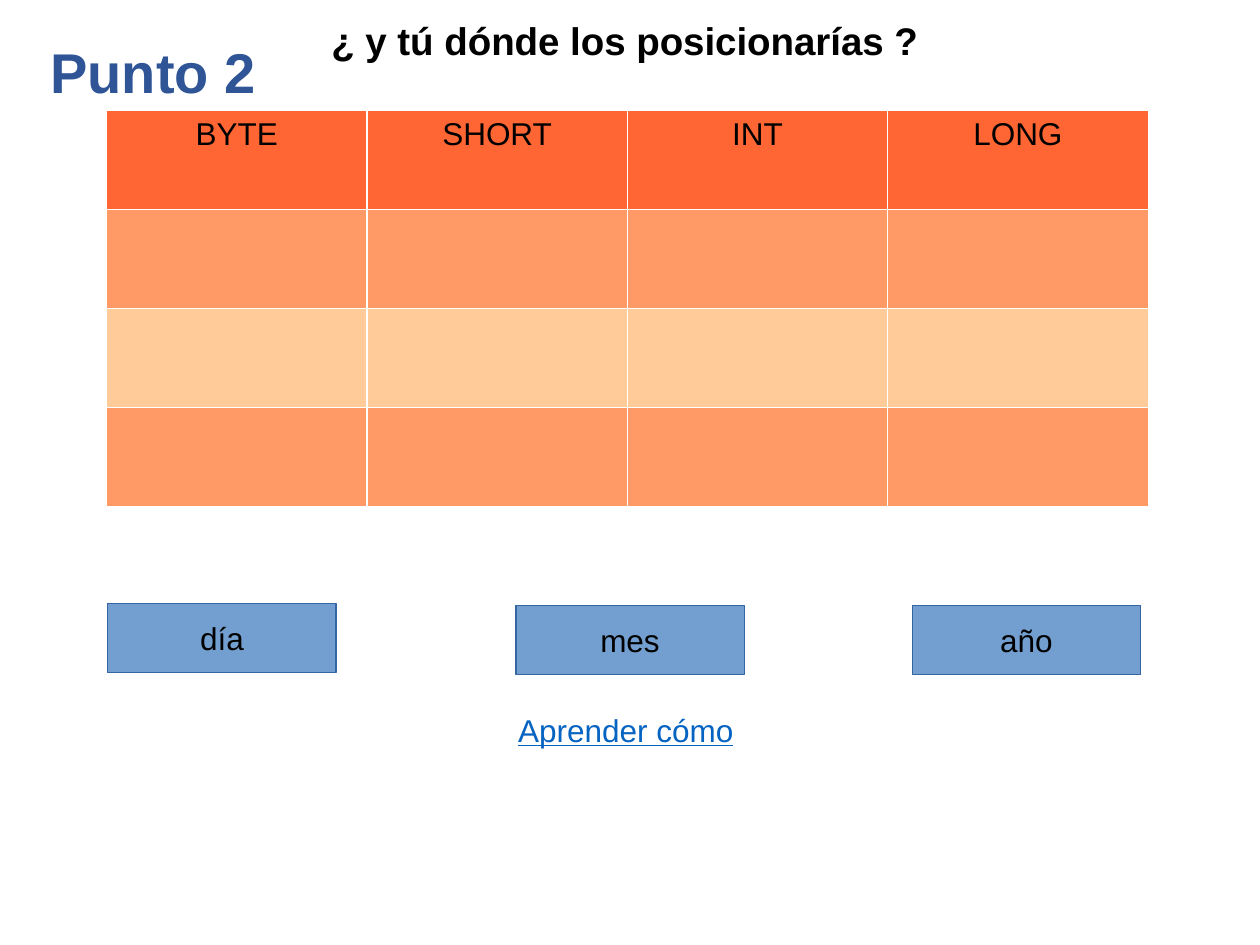
"""Builds the slide asking which integer type suits day, month and year."""
from lxml import etree
from pptx import Presentation
from pptx.dml.color import RGBColor
from pptx.enum.shapes import MSO_SHAPE
from pptx.enum.text import MSO_ANCHOR, PP_ALIGN
from pptx.oxml.ns import qn
from pptx.util import Pt

RECTANGLE = MSO_SHAPE.RECTANGLE
TOP, MIDDLE = MSO_ANCHOR.TOP, MSO_ANCHOR.MIDDLE
LEFT, CENTER = PP_ALIGN.LEFT, PP_ALIGN.CENTER
BLACK = RGBColor(0x00, 0x00, 0x00)
HEADING_BLUE = RGBColor(0x2F, 0x55, 0x97)
LINK_BLUE = RGBColor(0x05, 0x63, 0xC1)
BOX_BLUE = RGBColor(0x72, 0x9F, 0xCF)
BOX_EDGE = RGBColor(0x34, 0x65, 0xA4)
HEADER_ORANGE = RGBColor(0xFF, 0x66, 0x33)
ORANGE = RGBColor(0xFF, 0x99, 0x66)
PEACH = RGBColor(0xFF, 0xCC, 0x99)


def write(frame, text, size=18, color=BLACK, bold=False, align=CENTER, anchor=MIDDLE):
    frame.word_wrap = True
    frame.vertical_anchor = anchor
    paragraph = frame.paragraphs[0]
    paragraph.alignment = align
    run = paragraph.add_run()
    run.text = text
    run.font.name = "Arial"
    run.font.size = Pt(size)
    run.font.bold = bold
    run.font.color.rgb = color
    return run


def add_white_borders(cell):
    properties = cell._tc.get_or_add_tcPr()
    for side in ("lnL", "lnR", "lnT", "lnB"):
        border = etree.SubElement(properties, qn(f"a:{side}"), w=str(Pt(0.75)))
        fill = etree.SubElement(border, qn("a:solidFill"))
        etree.SubElement(fill, qn("a:srgbClr"), val="FFFFFF")


presentation = Presentation()
presentation.slide_width = Pt(720)
presentation.slide_height = Pt(540)
slide = presentation.slides.add_slide(presentation.slide_layouts[5])

heading = slide.shapes.title
heading.left, heading.top, heading.width, heading.height = Pt(21.6), Pt(18), Pt(545), Pt(45.4)
write(heading.text_frame, "Punto 2", 32, HEADING_BLUE, True, LEFT, TOP)

row_fills = [HEADER_ORANGE, ORANGE, PEACH, ORANGE]
type_names = ["BYTE", "SHORT", "INT", "LONG"]
types_table = slide.shapes.add_table(
    len(row_fills), len(type_names), Pt(60.9), Pt(63.3), Pt(595.2), Pt(226.4)
).table
for column in types_table.columns:
    column.width = Pt(148.8)
for row, row_fill in zip(types_table.rows, row_fills):
    row.height = Pt(56.6)
    for cell in row.cells:
        add_white_borders(cell)
        cell.fill.solid()
        cell.fill.fore_color.rgb = row_fill
for cell, type_name in zip(types_table.rows[0].cells, type_names):
    write(cell.text_frame, type_name, anchor=TOP)

for word, left, top in [("día", 61.6, 344.7), ("mes", 294.8, 345.8), ("año", 521.3, 345.8)]:
    word_box = slide.shapes.add_shape(RECTANGLE, Pt(left), Pt(top), Pt(130.5), Pt(39.6))
    word_box.shadow.inherit = False
    word_box.fill.solid()
    word_box.fill.fore_color.rgb = BOX_BLUE
    word_box.line.color.rgb = BOX_EDGE
    word_box.line.width = Pt(0.75)
    write(word_box.text_frame, word)

question = slide.shapes.add_textbox(Pt(130.3), Pt(9.4), Pt(453.6), Pt(27.4))
write(question.text_frame, "¿ y tú dónde los posicionarías ?", 22, bold=True)

learn_how = slide.shapes.add_textbox(Pt(289), Pt(402.5), Pt(150), Pt(28.8))
link_text = write(learn_how.text_frame, "Aprender cómo", color=LINK_BLUE, align=LEFT, anchor=TOP)
link_text.font.underline = True

presentation.save("out.pptx")
